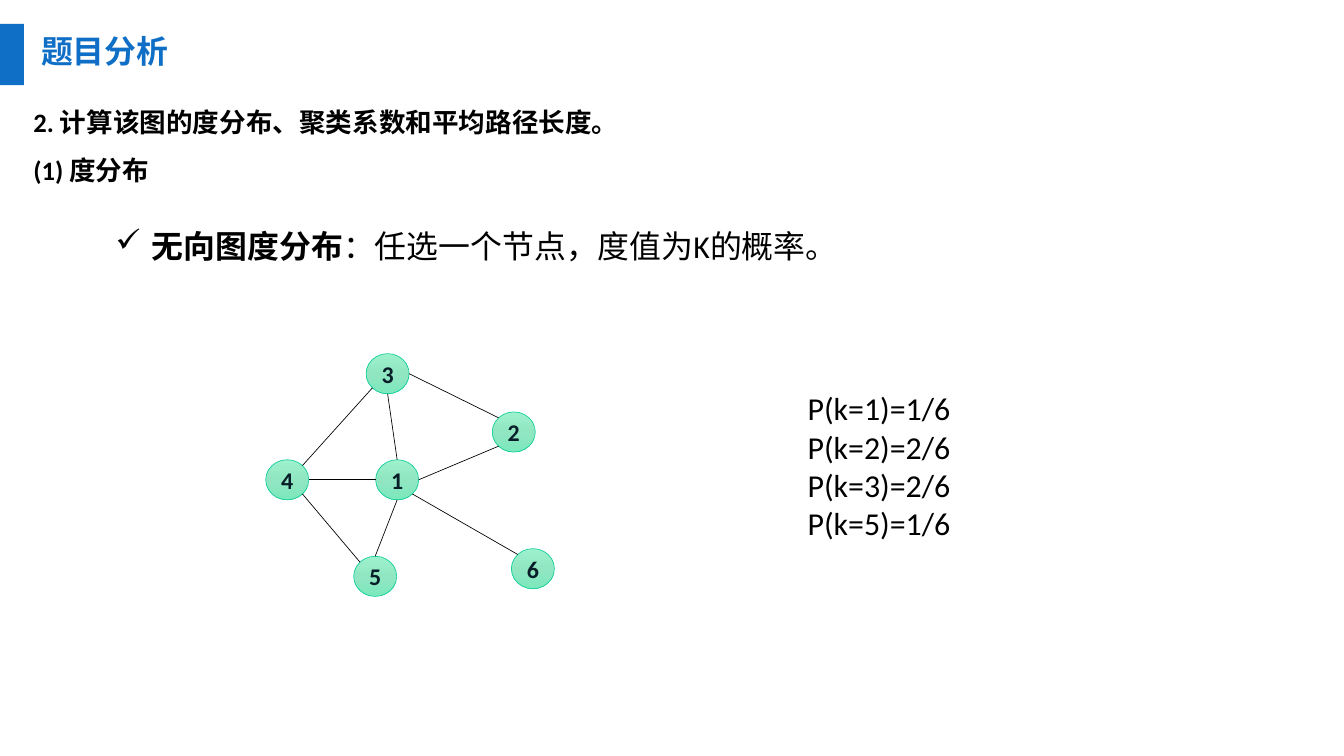
from math import cos, radians, sin

from lxml import etree
from pptx import Presentation
from pptx import util as u
from pptx.dml.color import RGBColor
from pptx.enum import shapes, text
from pptx.oxml.ns import qn

# Content
TITLE = "题目分析"
TASK = ["2. 计算该图的度分布、聚类系数和平均路径长度。", "(1) 度分布"]
POINT = [("无向图度分布", True), ("：任选一个节点，度值为K的概率。", False)]
PROBS = [f"P(k={k})={n}/6" for k, n in [(1, 1), (2, 2), (3, 2), (5, 1)]]

# Graph: top left corner of each node, then edges as node, side, node, side
NODES = {1: (3.93, 4.81), 6: (5.35, 5.74), 5: (3.7, 5.82),
         2: (5.15, 4.31), 3: (3.83, 3.7), 4: (2.78, 4.81)}
EDGES = [(1, "W", 4, "E"), (1, "SE", 6, "NW"), (1, "S", 5, "N"),
         (5, "NW", 4, "SE"), (3, "SW", 4, "NE"), (3, "S", 1, "N"),
         (3, "E", 2, "NW"), (2, "SW", 1, "E")]
SIDES = ["E", "SE", "S", "SW", "W", "NW", "N", "NE"]
NODE_W, NODE_H = 0.45, 0.42


class Theme:
    latin, asian = "Calibri", "Noto Sans CJK SC"
    blue, black, label, edge = "0F6FC6", "000000", "071D28", "10CF9B"
    shade = [(0, "9EF1CD"), (50, "91E6C2"), (100, "7CE8BC")]
    large, body, small = 24, 20, 18
    hair = 0.5


def color(code):
    return RGBColor.from_string(code)


def style(para, size, tint=Theme.black, bold=None, face=Theme.latin):
    font = para.font
    font.size, font.name, font.bold = u.Pt(size), face, bold
    font.color.rgb = color(tint)
    asian = etree.Element(qn("a:ea"), typeface=Theme.asian)
    font._element.find(qn("a:latin")).addnext(asian)


def write(box, lines, size, bold=None, space=None):
    frame = box.text_frame
    frame.word_wrap = True
    frame.text = "\n".join(lines)
    for para in frame.paragraphs:
        if space:
            para.line_spacing = space
            para.alignment = text.PP_ALIGN.JUSTIFY
        style(para, size, bold=bold)


def add_box(slide, left, top, width, height):
    return slide.shapes.add_textbox(*map(u.Inches, (left, top, width, height)))


def add_node(slide, name, left, top):
    node = slide.shapes.add_shape(
        shapes.MSO_SHAPE.OVAL, *map(u.Inches, (left, top, NODE_W, NODE_H)))
    node.shadow.inherit = False
    node.fill.gradient()
    node.fill.gradient_angle = 270
    stops = node._element.spPr.find(qn("a:gradFill")).find(qn("a:gsLst"))
    for stop in list(stops):
        stops.remove(stop)
    for share, code in Theme.shade:
        stop = etree.SubElement(stops, qn("a:gs"), pos=str(share * 1000))
        etree.SubElement(stop, qn("a:srgbClr"), val=code)
    node.line.color.rgb = color(Theme.edge)
    node.line.width = u.Pt(Theme.hair)
    frame = node.text_frame
    frame.margin_left = frame.margin_right = 0
    frame.margin_top = frame.margin_bottom = 0
    frame.vertical_anchor = text.MSO_ANCHOR.MIDDLE
    para = frame.paragraphs[0]
    para.text = str(name)
    para.alignment = text.PP_ALIGN.CENTER
    style(para, Theme.small, Theme.label, True)


def rim(name, side):
    left, top = NODES[name]
    turn = radians(45 * SIDES.index(side))
    return (u.Inches(left + NODE_W / 2 * (1 + cos(turn))),
            u.Inches(top + NODE_H / 2 * (1 + sin(turn))))


def add_edge(slide, start, out, end, into):
    line = slide.shapes.add_connector(
        shapes.MSO_CONNECTOR.STRAIGHT, *rim(start, out), *rim(end, into))
    line.line.color.rgb = color(Theme.black)
    line.line.width = u.Pt(Theme.hair)
    etree.SubElement(line._element.spPr, qn("a:effectLst"))


def main():
    deck = Presentation()
    deck.slide_width, deck.slide_height = u.Inches(14.06), u.Inches(7.91)
    slide = deck.slides.add_slide(deck.slide_layouts[5])

    # Title with its side bar
    bar = slide.shapes.add_shape(
        shapes.MSO_SHAPE.RECTANGLE, 0, *map(u.Inches, (0.25, 0.25, 0.64)))
    bar.shadow.inherit = False
    bar.fill.solid()
    bar.fill.fore_color.rgb = color(Theme.blue)
    bar.line.fill.background()
    title = slide.shapes.title
    title.left, title.top, title.width, title.height = map(
        u.Inches, (0.43, 0.33, 1.35, 0.4))
    frame = title.text_frame
    frame.margin_left = frame.margin_right = 0
    frame.margin_top = frame.margin_bottom = 0
    frame.word_wrap = False
    frame.auto_size = text.MSO_AUTO_SIZE.NONE
    frame.vertical_anchor = text.MSO_ANCHOR.TOP
    frame.text = TITLE
    frame.paragraphs[0].alignment = text.PP_ALIGN.LEFT
    style(frame.paragraphs[0], Theme.large, Theme.blue, True, Theme.asian)

    # Task and results
    write(add_box(slide, 0.25, 0.89, 13.81, 1.62), TASK, Theme.body, True, 1.5)
    write(add_box(slide, 8.35, 4.02, 2.91, 1.72), PROBS, Theme.large)

    # Ticked definition
    point = add_box(slide, 1.11, 2.12, 10.18, 0.64).text_frame
    point.word_wrap = True
    para = point.paragraphs[0]
    para.line_spacing = 1.5
    props = para._p.get_or_add_pPr()
    indent = u.Inches(0.38)
    props.set("marL", str(indent))
    props.set("indent", str(-indent))
    etree.SubElement(props, qn("a:buFont"), typeface="Wingdings")
    etree.SubElement(props, qn("a:buChar"), char="ü")
    style(para, Theme.large)
    for words, bold in POINT:
        run = para.add_run()
        run.text, run.font.bold = words, bold

    # Graph
    for name, spot in NODES.items():
        add_node(slide, name, *spot)
    for edge in EDGES:
        add_edge(slide, *edge)

    deck.save("out.pptx")


if __name__ == "__main__":
    main()
